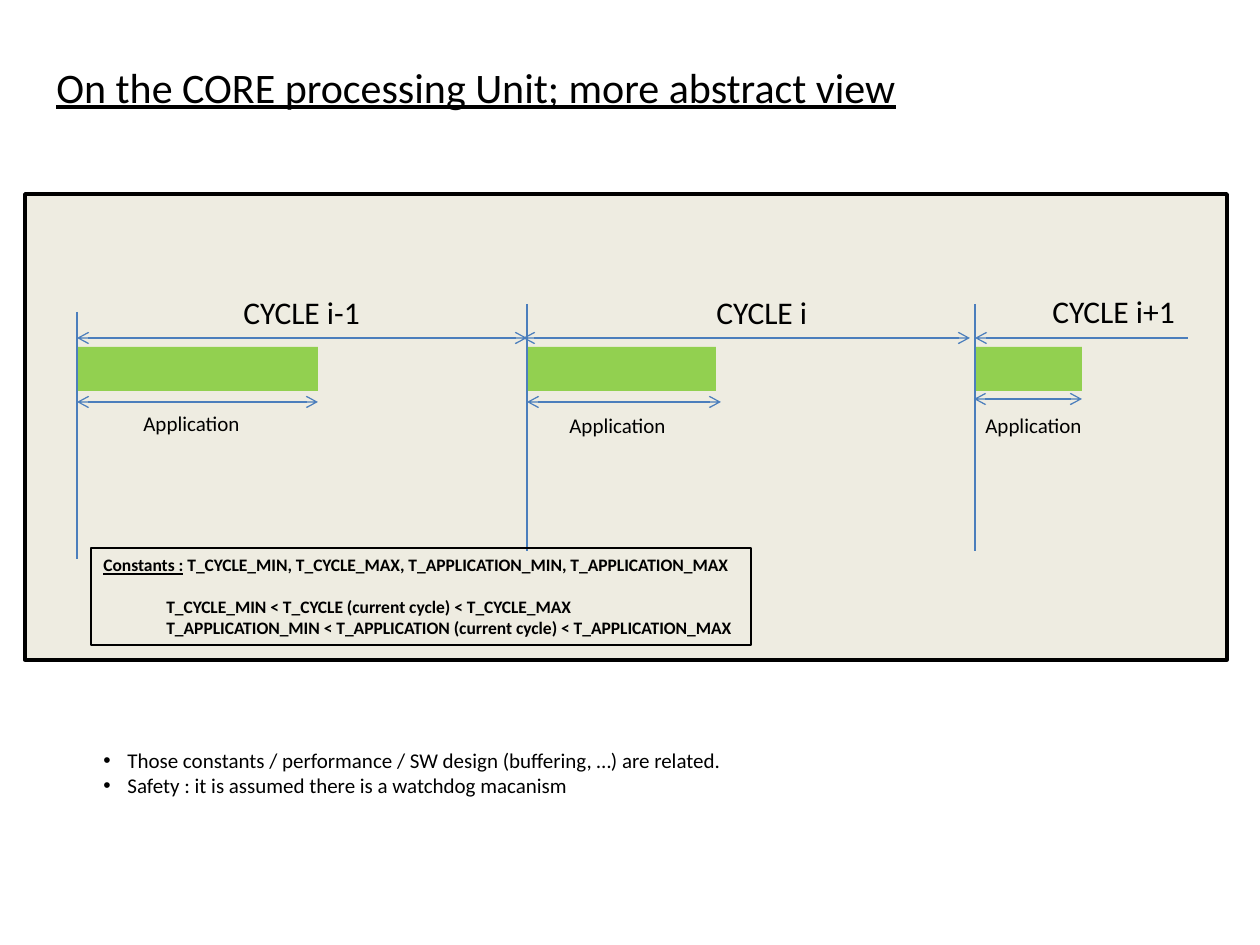
from lxml import etree
from pptx import Presentation
from pptx import util as u
from pptx.dml.color import RGBColor
from pptx.enum import shapes, text
from pptx.oxml import ns

PX = 914400 / 126
BLACK = RGBColor(0x00, 0x00, 0x00)
BEIGE = RGBColor(0xEE, 0xEC, 0xE1)
GREEN = RGBColor(0x92, 0xD0, 0x50)
BLUE = RGBColor(0x4B, 0x7E, 0xBC)

CYCLES = [
    {"name": "CYCLE i-1", "name_at": (231, 287, 144, 50), "bar": (78, 347, 240, 44),
     "span": (77, 318, 402), "label_at": (131, 404, 122, 38), "start": (77, 312),
     "cycle": (77, 527), "ends": ("head", "tail")},
    {"name": "CYCLE i", "name_at": (704, 287, 117, 50), "bar": (527, 347, 189, 44),
     "span": (527, 721, 402), "label_at": (557, 406, 122, 38), "start": (527, 304),
     "cycle": (523, 970), "ends": ("head", "tail")},
    {"name": "CYCLE i+1", "name_at": (1040, 286, 150, 50), "bar": (975, 347, 107, 44),
     "span": (974, 1082, 399), "label_at": (973, 406, 122, 38), "start": (975, 304),
     "cycle": (1188, 975), "ends": ("tail",)},
]
CYCLE_Y = 338
MARK_HEIGHT = 247


def px(*values):
    """Turn pixel lengths into EMU."""
    return [u.Emu(round(v * PX)) for v in values]


def add_rect(s, at, fill=None, line=None, width=0.75):
    """Add a rectangle with optional fill and outline."""
    sp = s.shapes.add_shape(shapes.MSO_SHAPE.RECTANGLE, *px(*at))
    sp.shadow.inherit = False
    for part, color in ((sp.fill, fill), (sp.line.fill, line)):
        if color is None:
            part.background()
        else:
            part.solid()
            part.fore_color.rgb = color
    if line is not None:
        sp.line.width = u.Pt(width)
    return sp


def add_line(s, start, end, ends=()):
    """Add a thin blue line with open arrowheads at the given ends."""
    c = s.shapes.add_connector(shapes.MSO_CONNECTOR.STRAIGHT, *px(*start, *end))
    c.line.color.rgb = BLUE
    c.line.width = u.Pt(0.75)
    ln = c.line._get_or_add_ln()
    for end_name in ends:
        etree.SubElement(ln, ns.qn(f"a:{end_name}End"), type="arrow")
    etree.SubElement(c._element.spPr, ns.qn("a:effectLst"))


def add_run(p, words, **formats):
    """Add a black Calibri run with the given font values."""
    r = p.add_run()
    r.text = words
    r.font.color.rgb = BLACK
    for name, value in {"name": "Calibri", **formats}.items():
        setattr(r.font, name, value)


def set_frame(sp):
    """Prepare a text frame that keeps its lines whole."""
    tf = sp.text_frame
    formats = {"word_wrap": False, "vertical_anchor": text.MSO_ANCHOR.TOP}
    for name, value in formats.items():
        setattr(tf, name, value)
    return tf


def add_paragraph(tf, first):
    """Return the first paragraph or a new one, aligned left."""
    p = tf.paragraphs[0] if first else tf.add_paragraph()
    p.alignment = text.PP_ALIGN.LEFT
    return p


def set_indent(p, left, hanging=0, bullet=None):
    """Indent a paragraph in pixels and add a bullet if given."""
    pPr = p._p.get_or_add_pPr()
    pPr.set("marL", str(px(left)[0]))
    pPr.set("indent", str(px(-hanging)[0]))
    if bullet:
        etree.SubElement(pPr, ns.qn("a:buFont"), typeface="Arial")
        etree.SubElement(pPr, ns.qn("a:buChar"), char=bullet)


def add_text(s, at, lines, size, bullet=None, **formats):
    """Add a text box with one paragraph per line."""
    tf = set_frame(s.shapes.add_textbox(*px(*at)))
    for i, words in enumerate(lines):
        p = add_paragraph(tf, i == 0)
        if bullet:
            set_indent(p, 24, 24, bullet)
        add_run(p, words, size=u.Pt(size), **formats)


def add_cycle(s, cycle):
    """Add one cycle with its start mark, arrows, bar and labels."""
    add_rect(s, cycle["bar"], GREEN)
    add_text(s, cycle["name_at"], [cycle["name"]], 18)
    left, right, y = cycle["span"]
    add_line(s, (left, y), (right, y), ("head", "tail"))
    add_text(s, cycle["label_at"], ["Application"], 12)
    x, top = cycle["start"]
    add_line(s, (x, top), (x, top + MARK_HEIGHT))
    begin, end = cycle["cycle"]
    add_line(s, (begin, CYCLE_Y), (end, CYCLE_Y), cycle["ends"])


def add_constants(s):
    """Add the outlined box of timing constants."""
    tf = set_frame(add_rect(s, (91, 548, 660, 97), line=BLACK))
    bold = {"size": u.Pt(10), "bold": True}
    p = add_paragraph(tf, True)
    add_run(p, "Constants :", underline=True, **bold)
    add_run(p, " T_CYCLE_MIN, T_CYCLE_MAX, T_APPLICATION_MIN, T_APPLICATION_MAX", **bold)
    limits = [("T_CYCLE_MIN < T_CYCLE (current cycle) < T_CYCLE_MAX", 12),
              ("T_APPLICATION_MIN < T_APPLICATION (current cycle) < T_APPLICATION_MAX", 0)]
    for words, gap in limits:
        p = add_paragraph(tf, False)
        p.level = 1
        p.space_before = u.Pt(gap)
        set_indent(p, 63)
        add_run(p, words, **bold)


def main():
    """Build the slide and save it."""
    prs = Presentation()
    prs.slide_width, prs.slide_height = px(1260, 945)
    s = prs.slides.add_slide(prs.slide_layouts[6])
    add_rect(s, (25, 194, 1202, 466), BEIGE, BLACK, 2)
    for cycle in CYCLES:
        add_cycle(s, cycle)
    add_constants(s)
    add_text(s, (44, 55, 872, 63), ["On the CORE processing Unit; more abstract view"],
             24, underline=True)
    add_text(s, (91, 741, 673, 63),
             ["Those constants / performance / SW design (buffering, …) are related.",
              "Safety : it is assumed there is a watchdog macanism"], 12, "•")
    prs.save("out.pptx")


if __name__ == "__main__":
    main()
